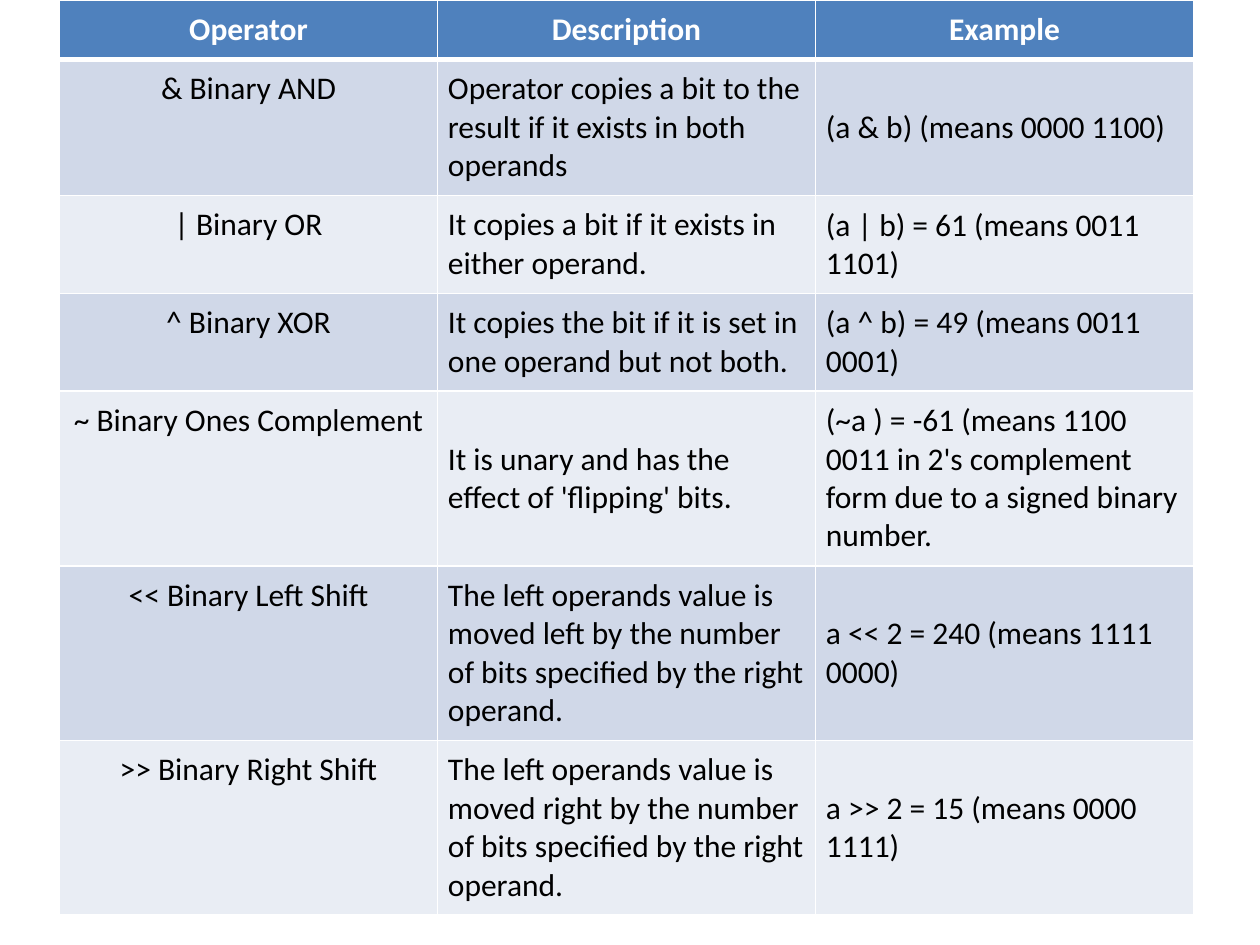
import pptx
import pptx.util
import pptx.dml.color
import pptx.enum.text
import pptx.oxml
import pptx.oxml.ns

Cm = pptx.util.Cm
Pt = pptx.util.Pt
Align = pptx.enum.text.PP_ALIGN
Anchor = pptx.enum.text.MSO_ANCHOR

# Content
HEADINGS = ("Operator", "Description", "Example")
OPERATORS = [
    ("& Binary AND",
     "Operator copies a bit to the result if it exists in both operands",
     "(a & b) (means 0000 1100)"),
    ("| Binary OR",
     "It copies a bit if it exists in either operand.",
     "(a | b) = 61 (means 0011 1101)"),
    ("^ Binary XOR",
     "It copies the bit if it is set in one operand but not both.",
     "(a ^ b) = 49 (means 0011 0001)"),
    ("~ Binary Ones Complement",
     "It is unary and has the effect of 'flipping' bits.",
     "(~a ) = -61 (means 1100 0011 in 2's complement form due to a signed binary number."),
    ("<< Binary Left Shift",
     "The left operands value is moved left by the number of bits specified by the right operand.",
     "a << 2 = 240 (means 1111 0000)"),
    (">> Binary Right Shift",
     "The left operands value is moved right by the number of bits specified by the right operand.",
     "a >> 2 = 15 (means 0000 1111)"),
]
CENTRED_DESCRIPTION_ROW = 4

# Look
COLOURS = {"header": "4F81BD", "odd": "D0D8E8", "even": "E9EDF4",
           "border": "FFFFFF", "header_text": "FFFFFF", "text": "000000"}
COLUMN_WIDTH, ROW_HEIGHT, TABLE_HEIGHT = Cm(7.62), Cm(1.04), Cm(18.21)
MARGINS = {f"margin_{side}": Cm(0.21) for side in ("left", "top", "right", "bottom")}


def colour(name):
    return pptx.dml.color.RGBColor.from_string(COLOURS[name])


def apply(target, values):
    for name, value in values.items():
        setattr(target, name, value)


def add_borders(cell, widths):
    properties = cell._tc.get_or_add_tcPr()
    for side, width in widths.items():
        properties.append(pptx.oxml.parse_xml(
            f'<a:ln{side} {pptx.oxml.ns.nsdecls("a")} w="{Pt(width)}"><a:solidFill>'
            f'<a:srgbClr val="{COLOURS["border"]}"/></a:solidFill></a:ln{side}>'))


def fill_cell(cell, text, row, column):
    header = row == 0
    centred = column == 2 or (column == 1 and row == CENTRED_DESCRIPTION_ROW)
    anchor = Anchor.MIDDLE if centred and not header else Anchor.TOP
    apply(cell, {**MARGINS, "vertical_anchor": anchor})

    # A heavier line divides the header from the body
    add_borders(cell, {"L": 1, "R": 1, "T": 3 if row == 1 else 1, "B": 3 if header else 1})
    cell.fill.solid()
    cell.fill.fore_color.rgb = colour("header" if header else "odd" if row % 2 else "even")

    para = cell.text_frame.paragraphs[0]
    para.alignment = Align.CENTER if header or column == 0 else Align.LEFT
    span = para.add_run()
    span.text = text
    apply(span.font, {"name": "Calibri", "size": Pt(18), "bold": header})
    span.font.color.rgb = colour("header_text" if header else "text")


def main():
    deck = pptx.Presentation()
    apply(deck, {"slide_width": Cm(25.4), "slide_height": Cm(19.05)})
    page = deck.slides.add_slide(deck.slide_layouts[6])

    # Operator table
    rows = [HEADINGS] + OPERATORS
    frame = page.shapes.add_table(len(rows), len(HEADINGS), Cm(1.2), Cm(0),
                                  COLUMN_WIDTH * len(HEADINGS), TABLE_HEIGHT)
    table = frame.table
    for column in table.columns:
        column.width = COLUMN_WIDTH
    for row, texts in enumerate(rows):
        table.rows[row].height = ROW_HEIGHT  # rows grow to fit their text
        for column, text in enumerate(texts):
            fill_cell(table.cell(row, column), text, row, column)
    frame.height = TABLE_HEIGHT

    deck.save("out.pptx")


if __name__ == "__main__":
    main()
